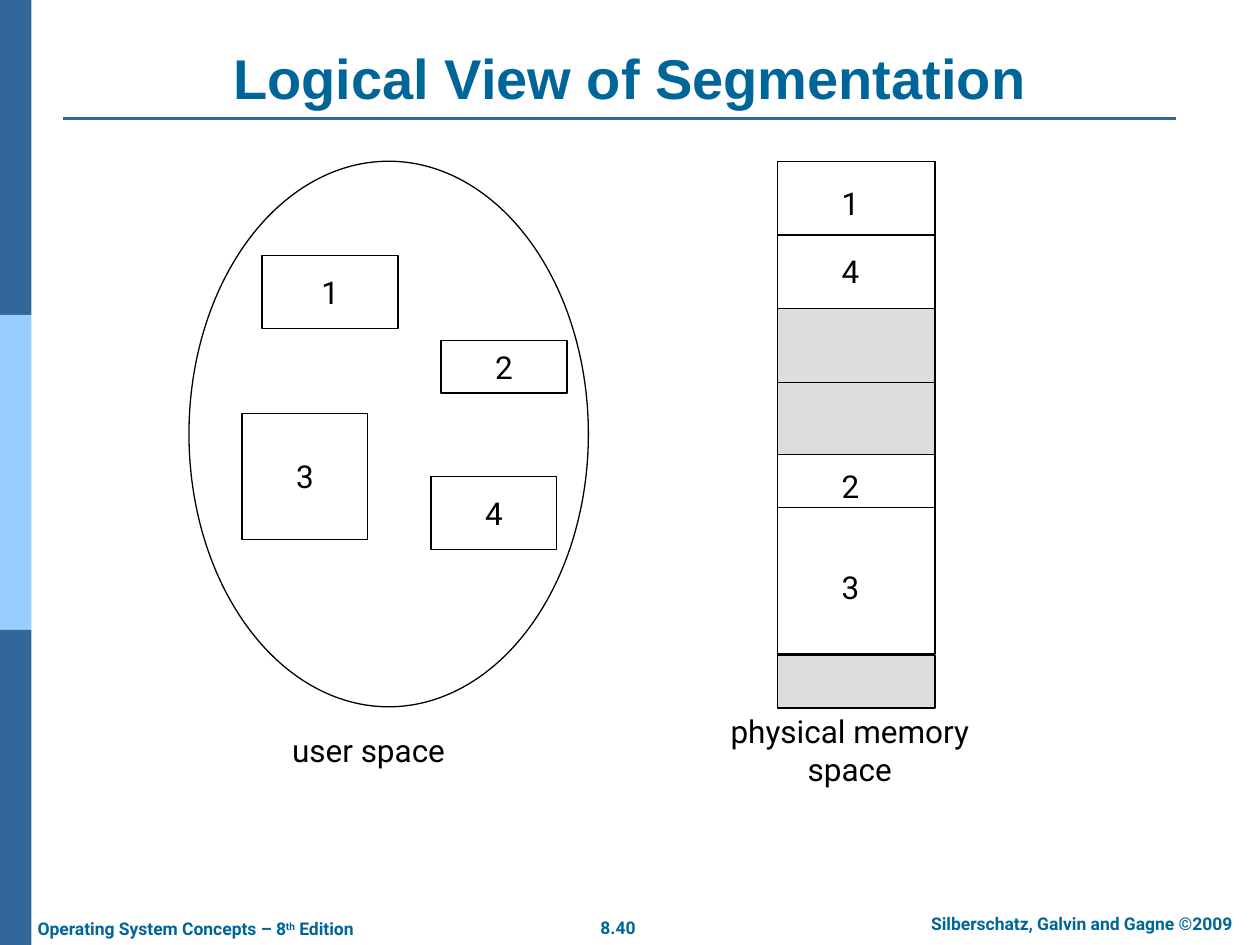
from dataclasses import dataclass

from lxml import etree
from pptx import Presentation
from pptx.dml.color import RGBColor
from pptx.enum import shapes, text
from pptx.oxml.ns import qn
from pptx.util import Inches, Pt


@dataclass(frozen=True)
class Theme:
    heading: str = "006699"
    bar_dark: str = "336699"
    bar_light: str = "99CCFF"
    ink: str = "000000"
    paper: str = "FFFFFF"
    free: str = "DDDDDD"
    title_font: str = "Arial"
    body_font: str = "Roboto"
    title_size: int = 32
    body_size: int = 18
    footer_size: int = 10
    outline: float = 0.75
    rule: float = 1.5


class SlideBuilder:
    def __init__(self, slide, theme):
        self.slide = slide
        self.theme = theme

    def set_text(self, frame, runs, size, color, font=None, bold=False,
                 align=text.PP_ALIGN.CENTER, anchor=text.MSO_ANCHOR.MIDDLE, wrap=False):
        """Fill a frame; a run is a string or a (string, baseline) pair."""
        frame.word_wrap = wrap
        frame.auto_size = text.MSO_AUTO_SIZE.NONE
        frame.vertical_anchor = anchor
        paragraph = frame.paragraphs[0]
        paragraph.alignment = align
        paragraph.space_before = Pt(0)
        for item in runs:
            if item == "\n":
                paragraph.add_line_break()
                continue
            words, baseline = item if isinstance(item, tuple) else (item, None)
            run = paragraph.add_run()
            run.text = words
            run.font.name = font or self.theme.body_font
            run.font.size = Pt(size)
            run.font.bold = bold
            run.font.color.rgb = RGBColor.from_string(color)
            if baseline:
                run.font._element.set("baseline", str(baseline))

    def title(self, words, box):
        title = self.slide.shapes.title
        title.left, title.top, title.width, title.height = map(Inches, box)
        self.set_text(title.text_frame, [words], self.theme.title_size, self.theme.heading,
                      self.theme.title_font, True, anchor=text.MSO_ANCHOR.BOTTOM, wrap=True)

    def block(self, box, fill, label=None, kind=shapes.MSO_SHAPE.RECTANGLE,
              outlined=True, parent=None):
        shape = (parent or self.slide).shapes.add_shape(kind, *map(Inches, box))
        shape.shadow.inherit = False
        shape.fill.solid()
        shape.fill.fore_color.rgb = RGBColor.from_string(fill)
        if outlined:
            shape.line.color.rgb = RGBColor.from_string(self.theme.ink)
            shape.line.width = Pt(self.theme.outline)
        else:
            shape.line.fill.background()
        if label:
            self.set_text(shape.text_frame, [label], self.theme.body_size, self.theme.ink)
        return shape

    def rule(self, left, right, y, color, width, parent=None, joined=None):
        line = (parent or self.slide).shapes.add_connector(
            shapes.MSO_CONNECTOR.STRAIGHT, Inches(left), Inches(y), Inches(right), Inches(y))
        line.line.color.rgb = RGBColor.from_string(color)
        line.line.width = Pt(width)
        etree.SubElement(line._element.spPr, qn("a:effectLst"))
        if joined is not None:
            line.begin_connect(joined, 1)
            line.end_connect(joined, 3)

    def label(self, runs, box, parent=None):
        shape = (parent or self.slide).shapes.add_textbox(*map(Inches, box))
        self.set_text(shape.text_frame, runs, self.theme.body_size, self.theme.ink)

    def footer(self, runs, box, align=text.PP_ALIGN.CENTER, wrap=False):
        shape = self.slide.shapes.add_textbox(*map(Inches, box))
        self.set_text(shape.text_frame, runs, self.theme.footer_size, self.theme.heading,
                      bold=True, align=align, anchor=text.MSO_ANCHOR.TOP, wrap=wrap)


def main():
    theme = Theme()
    presentation = Presentation()
    presentation.slide_width, presentation.slide_height = Inches(10), Inches(7.5)
    slide = presentation.slides.add_slide(presentation.slide_layouts[5])
    builder = SlideBuilder(slide, theme)

    # Side bar, title rule and title
    for index, color in enumerate((theme.bar_dark, theme.bar_light, theme.bar_dark)):
        builder.block((0, 2.5 * index, 0.25, 2.5), color, outlined=False)
    builder.rule(0.5, 9.33, 0.94, theme.bar_dark, theme.rule)
    builder.title("Logical View of Segmentation", (0.5, 0.3, 9, 0.63))

    # Footer
    builder.footer(["8.40"], (4.66, 7.23, 0.49, 0.27))
    builder.footer(["Silberschatz, Galvin and Gagne ©2009"], (7.1, 7.2, 2.97, 0.27), wrap=True)
    builder.footer(["Operating System Concepts – 8", ("th", 30000), " Edition"],
                   (0.2, 7.24, 2.88, 0.27), align=text.PP_ALIGN.LEFT)

    # User space with its segments
    builder.block((1.5, 1.28, 3.17, 4.33), theme.paper, kind=shapes.MSO_SHAPE.OVAL)
    segments = {"1": (2.08, 2.03, 1.08, 0.58), "3": (1.92, 3.28, 1, 1),
                "2": (3.5, 2.7, 1, 0.42), "4": (3.42, 3.78, 1, 0.58)}
    for name, box in segments.items():
        builder.block(box, theme.paper, name)

    # Physical memory: top, height, fill and divider of each region
    left, width = 6.17, 1.25
    memory = slide.shapes.add_group_shape()
    regions = [(1.28, 1.17, theme.paper, 1.86), (2.45, 1.17, theme.free, 3.03),
               (3.61, 1.58, theme.paper, 4.03), (5.2, 0.42, theme.free, None)]
    for top, height, fill, divider in regions:
        region = builder.block((left, top, width, height), fill, parent=memory)
        if divider:
            halved = abs(top + height / 2 - divider) < 0.02
            builder.rule(left, left + width, divider, theme.ink, theme.outline,
                         memory, region if halved else None)
    for name, top in (("1", 1.41), ("4", 1.95), ("2", 3.66), ("3", 4.46)):
        builder.label([name], (6.58, top, 0.34, 0.4), memory)

    # Captions
    builder.label(["user space"], (2.18, 5.75, 1.49, 0.4))
    builder.label(["physical memory", "\n", "space"], (5.34, 5.75, 2.81, 0.4))

    presentation.save("out.pptx")


if __name__ == "__main__":
    main()
